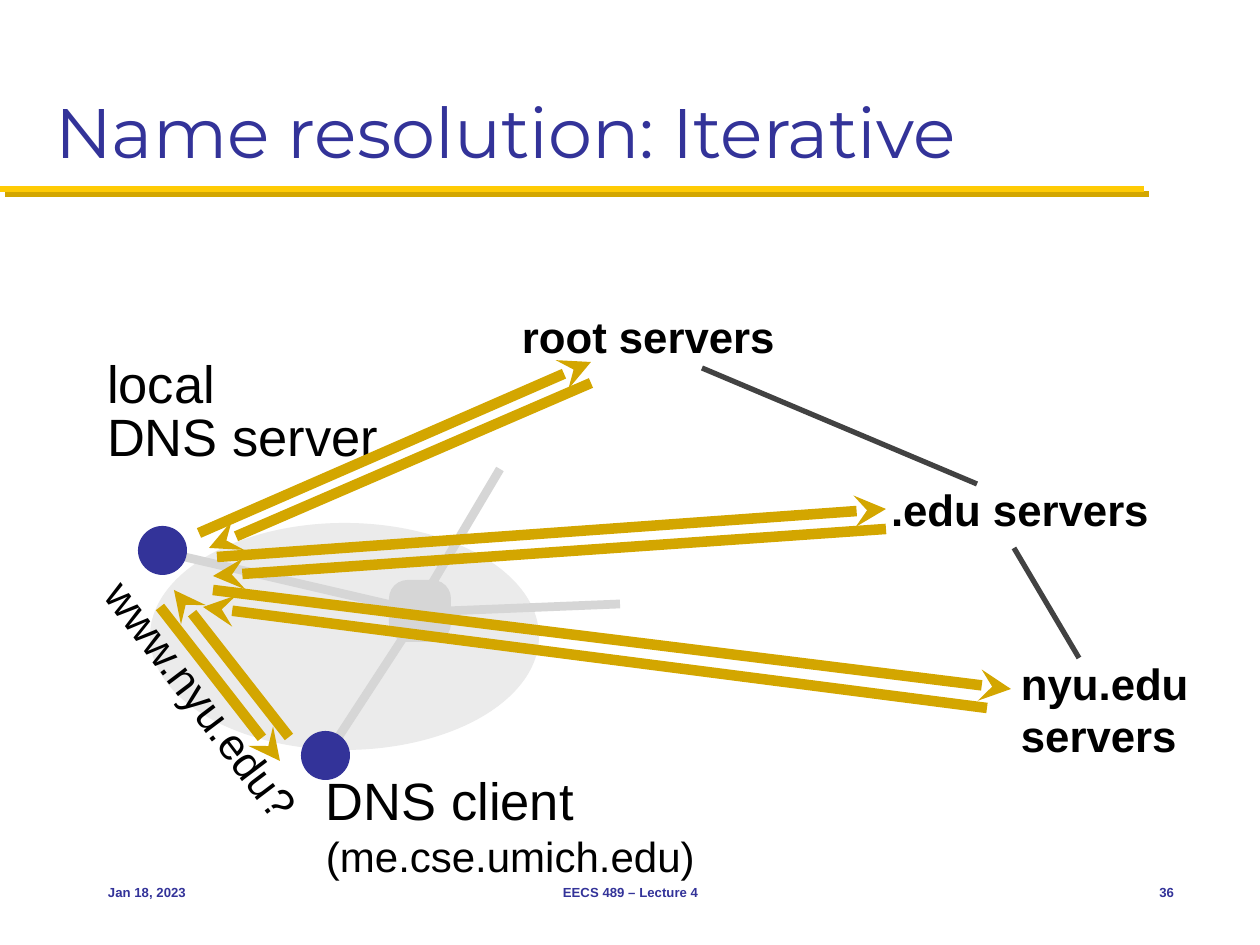
from lxml.etree import SubElement
from pptx import Presentation
from pptx.dml.color import RGBColor
from pptx.enum.shapes import MSO_CONNECTOR, MSO_SHAPE
from pptx.enum.text import MSO_ANCHOR, PP_ALIGN
from pptx.oxml.ns import qn
from pptx.util import Pt

PX = 914400 / 126
BLUE = RGBColor(0x33, 0x33, 0x99)
MAIZE = RGBColor(0xFF, 0xCB, 0x05)
GOLD = RGBColor(0xD3, 0xA6, 0x00)
BLACK = RGBColor(0, 0, 0)
DARK = RGBColor(0x42, 0x42, 0x42)
GRAY = RGBColor(0xD6, 0xD6, 0xD6)
PALE = RGBColor(0xEB, 0xEB, 0xEB)

TITLE = ("Name resolution: Iterative", (42, 21, 1176, 158))
RULE = (0, 189, 1144, 189)
CLOUD = (150, 523, 389, 227)
HUB = (389, 580, 62, 62)
DOT = 49
HOSTS = [(138, 526), (301, 731)]
SPOKES = [
    (159, 551, 413, 610),
    (418, 615, 330, 750),
    (500, 469, 420, 604),
    (620, 604, 421, 612),
]
HIERARCHY = [(702, 368, 977, 484), (1014, 548, 1079, 658)]
MESSAGES = [
    (174, 590, 289, 737),
    (591, 362, 199, 533),
    (886, 509, 217, 557),
    (209, 548, 591, 383),
    (213, 576, 886, 529),
    (1011, 689, 213, 590),
    (203, 607, 987, 708),
    (280, 761, 160, 607),
]
HOST_LABELS = [
    ([("local", 30)], (102, 346, 121, 73)),
    ([("DNS server", 30)], (102, 399, 358, 73)),
    ([("DNS client", 30), ("(me.cse.umich.edu)", 24)], (321, 762, 519, 125)),
]
SERVER_LABELS = [
    ("root servers", (517, 305, 290, 63)),
    (".edu servers", (886, 478, 333, 63)),
    ("nyu.edu servers", (1016, 651, 233, 116)),
]
QUERY = ("www.nyu.edu?", (49, 679, 304, 54), 53)
FOOTER = [
    ("Jan 18, 2023", (95, 861, 262, 63), PP_ALIGN.LEFT),
    ("EECS 489 – Lecture 4", (431, 861, 399, 63), PP_ALIGN.CENTER),
    ("36", (1103, 861, 84, 63), PP_ALIGN.RIGHT),
]


def emu(lengths):
    return [round(length * PX) for length in lengths]


def add_line(slide, ends, color, width, arrow=False):
    line = slide.shapes.add_connector(MSO_CONNECTOR.STRAIGHT, *emu(ends))
    line.line.color.rgb = color
    line.line.width = Pt(width)
    if arrow:
        SubElement(line.line._get_or_add_ln(), qn("a:headEnd"), type="stealth")
    return SubElement(line._element.spPr, qn("a:effectLst"))


def add_solid(slide, preset, box, color):
    solid = slide.shapes.add_shape(preset, *emu(box))
    solid.shadow.inherit = False
    solid.fill.solid()
    solid.fill.fore_color.rgb = color
    solid.line.fill.background()
    return solid


def add_text(slide, lines, box, color=BLACK, bold=False, font="Arial",
             align=PP_ALIGN.LEFT, anchor=MSO_ANCHOR.MIDDLE, inset=(5, 5)):
    label = slide.shapes.add_textbox(*emu(box))
    frame = label.text_frame
    frame.word_wrap = True
    frame.vertical_anchor = anchor
    frame.margin_left, frame.margin_top = emu(inset)
    frame.margin_right, frame.margin_bottom = emu(inset)
    frame.text = "\n".join(text for text, _ in lines)
    for paragraph, (_, size) in zip(frame.paragraphs, lines):
        paragraph.alignment = align
        paragraph.font.name = font
        paragraph.font.size = Pt(size)
        paragraph.font.bold = bold
        paragraph.font.color.rgb = color
    return label


def main():
    deck = Presentation()
    deck.slide_width, deck.slide_height = emu((1260, 945))
    slide = deck.slides.add_slide(deck.slide_layouts[6])

    effects = add_line(slide, RULE, MAIZE, 3.5)
    shadow = SubElement(effects, qn("a:outerShdw"), dist=str(Pt(4.2)),
                        dir=str(45 * 60000), algn="ctr", rotWithShape="0")
    SubElement(shadow, qn("a:srgbClr"), val=str(GOLD))
    title, title_box = TITLE
    add_text(slide, [(title, 40)], title_box, BLUE, font="Montserrat",
             anchor=MSO_ANCHOR.BOTTOM, inset=(13, 6))

    add_solid(slide, MSO_SHAPE.OVAL, CLOUD, PALE)
    for ends in SPOKES:
        add_line(slide, ends, GRAY, 5)
    hub = add_solid(slide, MSO_SHAPE.ROUNDED_RECTANGLE, HUB, GRAY)
    hub.adjustments[0] = 0.3
    for left, top in HOSTS:
        add_solid(slide, MSO_SHAPE.OVAL, (left, top, DOT, DOT), BLUE)

    for lines, box in HOST_LABELS:
        add_text(slide, lines, box)
    for text, box in SERVER_LABELS:
        add_text(slide, [(text, 25)], box, bold=True)
    for ends in HIERARCHY:
        add_line(slide, ends, DARK, 3)

    text, box, angle = QUERY
    query = add_text(slide, [(text, 25)], box)
    query.rotation = angle
    query.text_frame.paragraphs[0].line_spacing = 0.8
    for ends in MESSAGES:
        add_line(slide, ends, GOLD, 6, arrow=True)

    for text, box, align in FOOTER:
        add_text(slide, [(text, 7.5)], box, BLUE, bold=True, align=align,
                 inset=(13, 6))

    deck.save("out.pptx")


if __name__ == "__main__":
    main()
